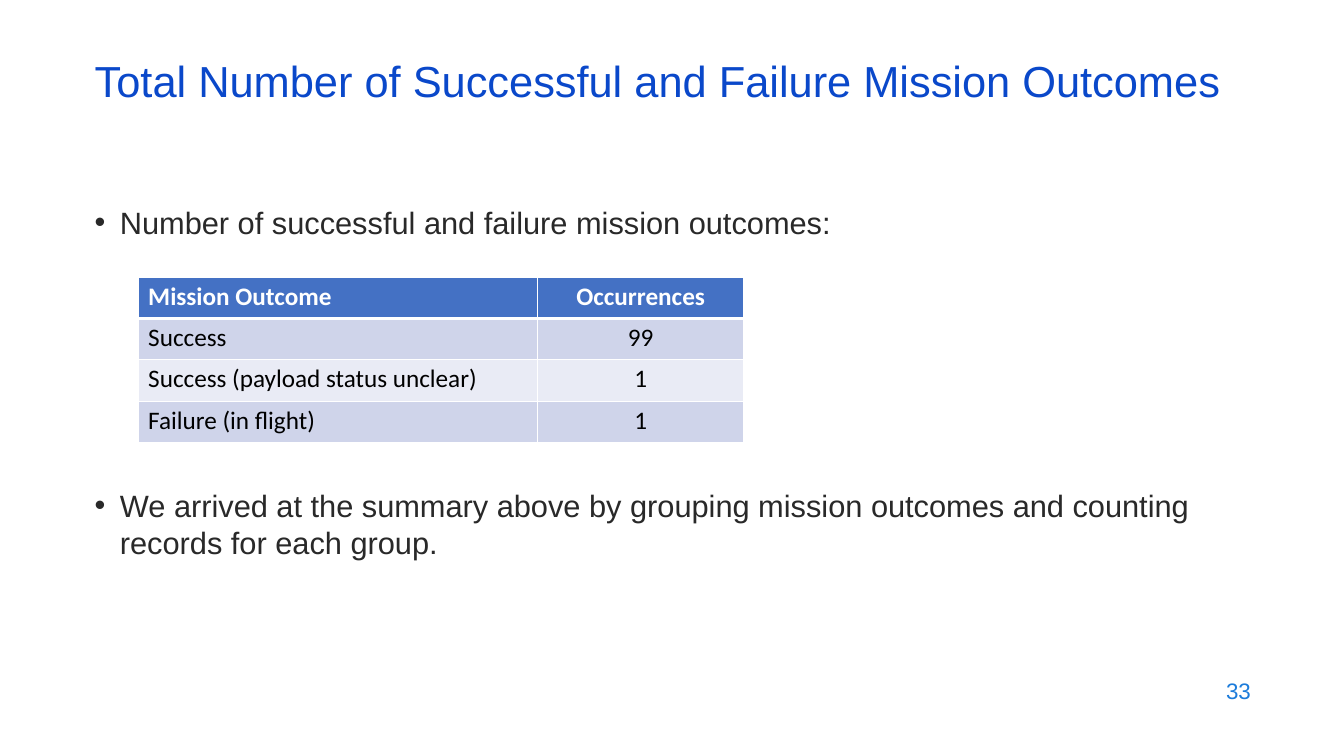
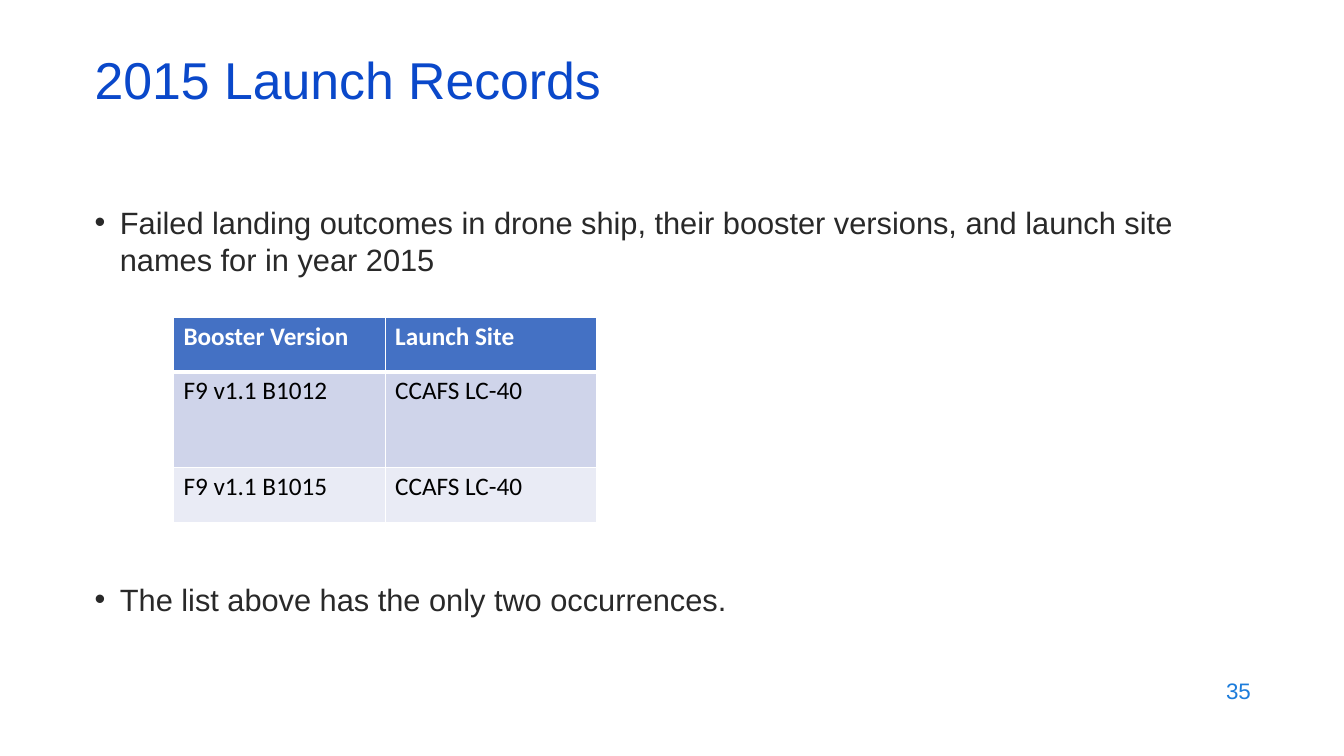
import pptx
import pptx.dml.color
import pptx.enum.text
import pptx.oxml.ns
import pptx.util
from lxml import etree

Inches = pptx.util.Inches
Pt = pptx.util.Pt
RGBColor = pptx.dml.color.RGBColor
ALIGN = pptx.enum.text.PP_ALIGN

# Shared colours and fonts
TITLE_BLUE = RGBColor(0x0A, 0x48, 0xCA)
NUMBER_BLUE = RGBColor(0x1C, 0x7C, 0xDB)
BODY_GREY = RGBColor(0x29, 0x29, 0x29)
HEADER_BLUE = RGBColor(0x44, 0x71, 0xC4)
BAND_DARK = RGBColor(0xCF, 0xD4, 0xEA)
BAND_LIGHT = RGBColor(0xE9, 0xEB, 0xF5)
WHITE = RGBColor(0xFF, 0xFF, 0xFF)
BLACK = RGBColor(0, 0, 0)
BODY_FONT = "Arial"
TABLE_FONT = "Calibri"

LEFT = 0.93


def add_child(parent, tag, **attributes):
    child = etree.SubElement(parent, pptx.oxml.ns.qn(tag))
    for name, value in attributes.items():
        child.set(name, str(value))
    return child


def write_text(frame, text, *, size, color, font=BODY_FONT, bold=False,
               align=ALIGN.LEFT, spacing=None, bullet=False, indent=0):
    """Fill the first paragraph of a text frame."""
    paragraph = frame.paragraphs[0]
    paragraph.alignment = align
    if spacing:
        paragraph.line_spacing = spacing
    properties = paragraph._p.get_or_add_pPr()
    properties.set("marL", str(Inches(indent)))
    if bullet:
        properties.set("indent", str(Inches(-0.25)))
        add_child(add_child(properties, "a:buClr"), "a:srgbClr", val=color)
        add_child(properties, "a:buFont", typeface=font)
        add_child(properties, "a:buChar", char="•")
    run = paragraph.add_run()
    run.text = text
    run.font.name = font
    run.font.size = Pt(size)
    run.font.bold = bold
    run.font.color.rgb = color


def add_text(slide, text, left, top, width, height, inset_top=0.01, **text_format):
    box = slide.shapes.add_textbox(*map(Inches, (left, top, width, height)))
    frame = box.text_frame
    frame.word_wrap = True
    frame.margin_left = frame.margin_right = frame.margin_bottom = 0
    frame.margin_top = Inches(inset_top)
    write_text(frame, text, **text_format)


def add_title(slide, title, top, height, size):
    add_text(slide, title, LEFT, top, 11.64, height,
             size=size, color=TITLE_BLUE, indent=0.01)


def add_bullet(slide, text, top, width=11.76, height=0.38):
    add_text(slide, text, LEFT, top, width, height,
             size=22, color=BODY_GREY, bullet=True, indent=0.26)


def add_page_number(slide, number):
    add_text(slide, str(number), 12.12, 6.68, 0.35, 0.28, inset_top=0,
             size=16, color=NUMBER_BLUE, spacing=1.15, indent=0.04)


def set_borders(cell, **widths):
    properties = cell._tc.get_or_add_tcPr()
    for side in "LRTB":
        line = add_child(properties, f"a:ln{side}", w=Pt(widths.get(side, 1)))
        add_child(add_child(line, "a:solidFill"), "a:srgbClr", val=WHITE)


def add_records_table(slide, records, left, top, widths, heights, centered=()):
    """Draw a header row and banded records; centered lists column indexes."""
    table = slide.shapes.add_table(
        len(heights), len(widths), Inches(left), Inches(top),
        Inches(sum(widths)), Inches(sum(heights))).table
    for column, width in zip(table.columns, widths):
        column.width = Inches(width)
    for r, (record, height) in enumerate(zip(records, heights)):
        table.rows[r].height = Inches(height)
        header = r == 0
        fill = HEADER_BLUE if header else BAND_DARK if r % 2 else BAND_LIGHT
        # A thick rule separates the header from the records
        rule = {"B": 3} if header else {"T": 3} if r == 1 else {}
        for c, value in enumerate(record):
            cell = table.cell(r, c)
            middle = c in centered
            cell.margin_left = Inches(0 if middle else 0.1)
            cell.margin_right = cell.margin_bottom = 0
            cell.margin_top = Inches(0.04)
            set_borders(cell, **rule)
            cell.fill.solid()
            cell.fill.fore_color.rgb = fill
            write_text(cell.text_frame, value, size=18, font=TABLE_FONT,
                       color=WHITE if header else BLACK, bold=header,
                       align=ALIGN.CENTER if middle else ALIGN.LEFT)


def build_mission_outcomes(slide):
    add_title(slide, "Total Number of Successful and Failure Mission Outcomes",
              0.53, 0.54, 31)
    add_bullet(slide, "Number of successful and failure mission outcomes:", 2.01)
    outcomes = [
        ("Mission Outcome", "Occurrences"),
        ("Success", "99"),
        ("Success (payload status unclear)", "1"),
        ("Failure (in flight)", "1"),
    ]
    add_records_table(slide, outcomes, 1.37, 2.75, (3.96, 2.05),
                      [0.41] * len(outcomes), centered=(1,))
    add_bullet(slide, "We arrived at the summary above by grouping mission outcomes "
               "and counting records for each group.", 4.82, height=0.75)
    add_page_number(slide, 33)


def build_launch_records(slide):
    add_title(slide, "2015 Launch Records", 0.46, 0.64, 37)
    add_bullet(slide, "Failed landing outcomes in drone ship, their booster versions, "
               "and launch site names for in year 2015", 2.01, width=11.2, height=0.75)
    launches = [
        ("Booster Version", "Launch Site"),
        ("F9 v1.1 B1012", "CCAFS LC-40"),
        ("F9 v1.1 B1015", "CCAFS LC-40"),
    ]
    add_records_table(slide, launches, 1.72, 3.15, (2.1, 2.1), (0.54, 0.95, 0.54))
    add_bullet(slide, "The list above has the only two occurrences.", 5.75)
    add_page_number(slide, 35)


def main():
    deck = pptx.Presentation()
    deck.slide_width = Inches(13.33)
    deck.slide_height = Inches(7.5)
    blank = deck.slide_layouts[6]
    for build in (build_mission_outcomes, build_launch_records):
        build(deck.slides.add_slide(blank))
    deck.save("out.pptx")


if __name__ == "__main__":
    main()
